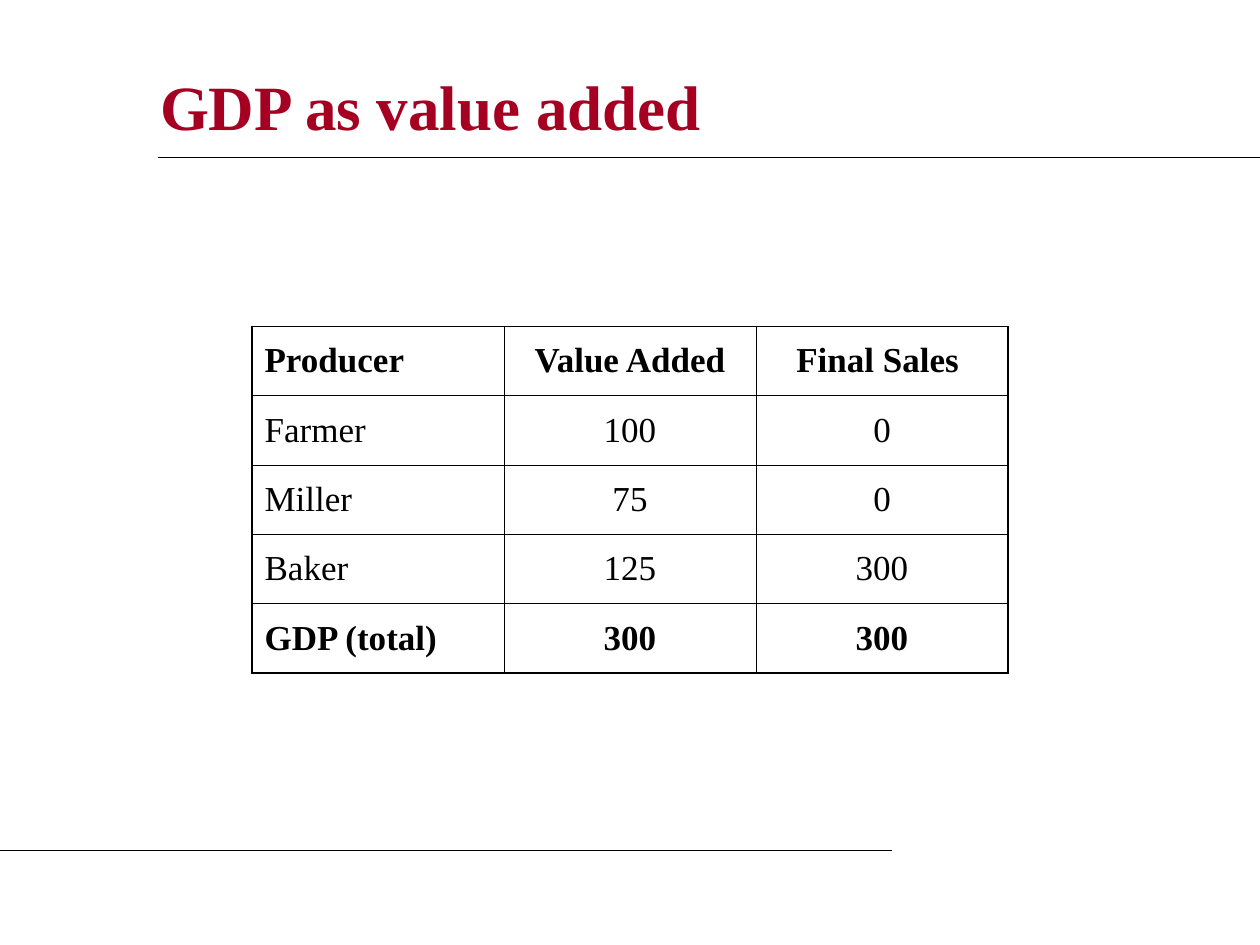
from lxml.etree import SubElement
from pptx import Presentation
from pptx.dml.color import RGBColor
from pptx.enum.shapes import MSO_CONNECTOR as CONN
from pptx.enum.text import MSO_ANCHOR as ANCHOR, PP_ALIGN as ALIGN
from pptx.oxml.ns import qn
from pptx.util import Inches, Pt

TITLE = "GDP as value added"
ROWS = [
    ("Producer", "Value Added", "Final Sales "),
    ("Farmer", "100", "0"),
    ("Miller", "75", "0"),
    ("Baker", "125", "300"),
    ("GDP (total)", "300", "300"),
]
RULES = [(1.25, 10, 1.25), (0, 7.08, 6.75)]
LEFT, TOP, COL_W, ROW_H = 2, 2.59, 2, 0.55
THIN, THICK = 0.45, 1.08
RED = RGBColor(0xA5, 0x00, 0x21)
BLACK = RGBColor(0, 0, 0)
FONT = "Times New Roman"


def write(tf, text, size, color, bold, align):
    tf.text = text
    p = tf.paragraphs[0]
    p.alignment = align
    font = p.runs[0].font
    for name, value in {"name": FONT, "size": Pt(size), "bold": bold}.items():
        setattr(font, name, value)
    font.color.rgb = color


def set_borders(cell, widths):
    tc_pr = cell._tc.get_or_add_tcPr()
    for i, (side, width) in enumerate(widths.items()):
        ln = tc_pr.makeelement(qn(f"a:ln{side}"), {"w": str(Pt(width))})
        fill = SubElement(ln, qn("a:solidFill"))
        SubElement(fill, qn("a:srgbClr"), val=str(BLACK))
        tc_pr.insert(i, ln)


def add_title(slide):
    s = slide.shapes.title
    s.left, s.top, s.width, s.height = map(Inches, (1.17, 0.42, 8.08, 0.83))
    s.text_frame.vertical_anchor = ANCHOR.MIDDLE
    write(s.text_frame, TITLE, 36, RED, True, ALIGN.LEFT)


def add_rule(slide, x1, x2, y):
    s = slide.shapes.add_connector(CONN.STRAIGHT, *map(Inches, (x1, y, x2, y)))
    s.line.color.rgb = BLACK
    s.line.width = Pt(0.75)
    SubElement(s._element.spPr, qn("a:effectLst"))


def add_gdp_table(slide):
    n_rows, n_cols = len(ROWS), len(ROWS[0])
    box = map(Inches, (LEFT, TOP, n_cols * COL_W, n_rows * ROW_H))
    table = slide.shapes.add_table(n_rows, n_cols, *box).table
    table.first_row = table.horz_banding = False
    for r, row in enumerate(ROWS):
        for c, text in enumerate(row):
            cell = table.cell(r, c)
            cell.vertical_anchor = ANCHOR.MIDDLE
            cell.fill.background()
            align = ALIGN.CENTER if c else ALIGN.LEFT
            write(cell.text_frame, text, 20, BLACK, r in (0, n_rows - 1), align)
            outer = {"L": c == 0, "R": c == n_cols - 1, "T": r == 0, "B": r == n_rows - 1}
            set_borders(cell, {k: THICK if edge else THIN for k, edge in outer.items()})


def main():
    prs = Presentation()
    prs.slide_width, prs.slide_height = Inches(10), Inches(7.5)
    slide = prs.slides.add_slide(prs.slide_layouts[5])
    add_title(slide)
    for rule in RULES:
        add_rule(slide, *rule)
    add_gdp_table(slide)
    prs.save("out.pptx")


if __name__ == "__main__":
    main()
